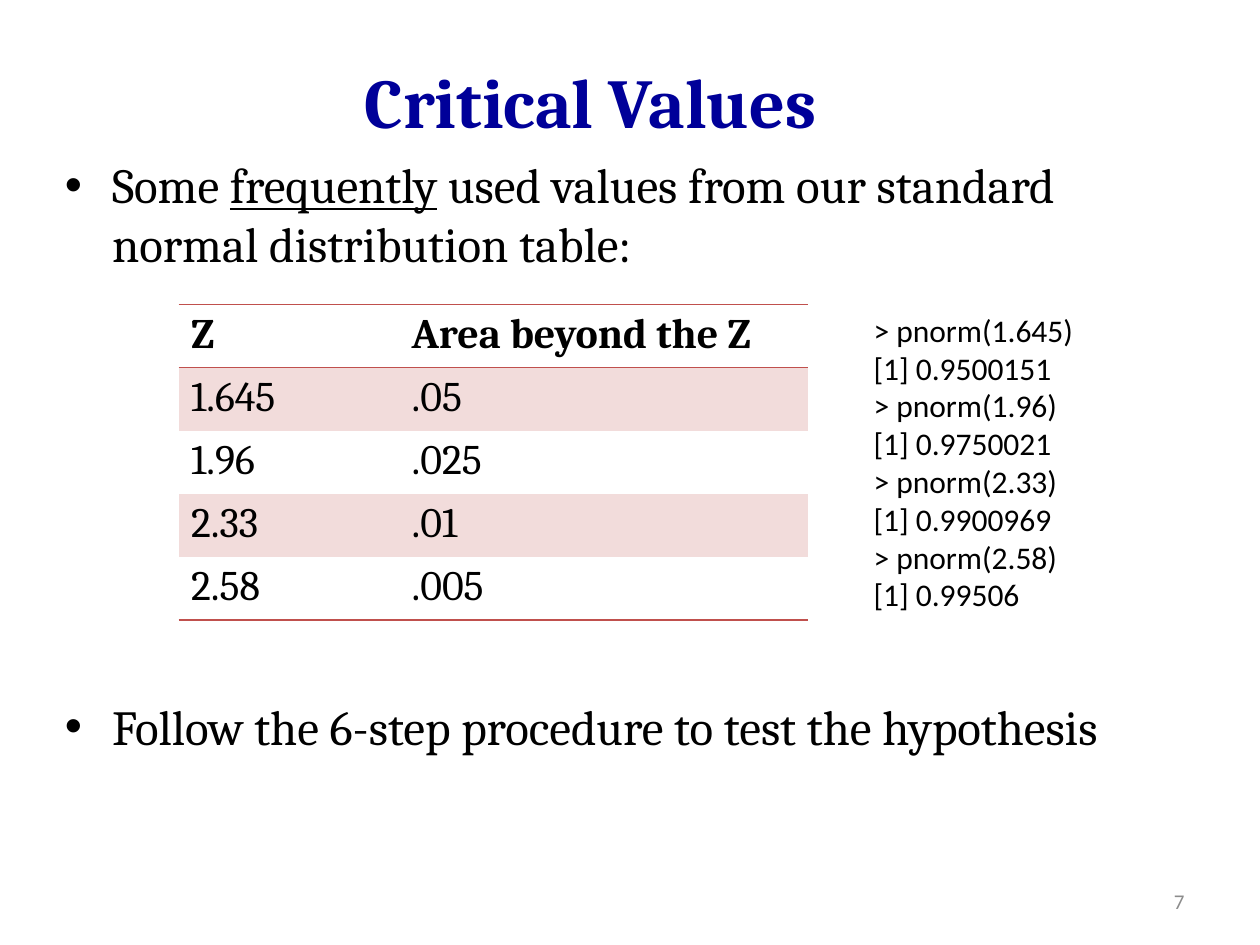
from dataclasses import dataclass

from lxml.etree import SubElement as Sub
from pptx import Presentation
from pptx.dml.color import RGBColor as Rgb
from pptx.enum.text import MSO_ANCHOR as Anchor, MSO_AUTO_SIZE as Auto, PP_ALIGN as Align
from pptx.oxml.ns import qn
from pptx.util import Cm, Pt

HUES = {"ink": "000000", "title": "000099", "rule": "C0504D",
        "band": "F2DCDB", "page": "8C8C8C"}
BODY = {"name": "Cambria", "size": Pt(28), "color": "ink"}
HEAD = {"name": "Cambria", "size": Pt(40), "color": "title", "bold": True}
CELL = {"name": "Cambria", "size": Pt(24), "color": "ink"}
CODE = {"name": "Calibri", "size": Pt(18), "color": "ink"}
PAGE = {"name": "Calibri", "size": Pt(12), "color": "page"}

ROWS = [("Z", "Area beyond the Z"), ("1.645", ".05"), ("1.96", ".025"),
        ("2.33", ".01"), ("2.58", ".005")]
TESTS = [("1.645", "0.9500151"), ("1.96", "0.9750021"),
         ("2.33", "0.9900969"), ("2.58", "0.99506")]


@dataclass
class Box:
    left: float
    top: float
    width: float
    height: float

    def area(self) -> tuple:
        return tuple(Cm(v) for v in (self.left, self.top, self.width, self.height))


@dataclass
class Point:
    """A bullet point: its runs, each with an underline flag, and the gap above."""
    runs: list
    gap: float = 0


POINTS = [
    Point([("Some ", False), ("frequently", True),
           (" used values from our standard normal distribution table:", False)]),
    Point([("Follow the 6-step procedure to test the hypothesis", False)], 242),
]


def style(font, form: dict) -> None:
    for key, val in form.items():
        if key == "color":
            font.color.rgb = Rgb.from_string(HUES[val])
        else:
            setattr(font, key, val)


def add_box(slide, box: Box):
    frame = slide.shapes.add_textbox(*box.area()).text_frame
    frame.word_wrap = True
    return frame


def add_lines(frame, lines: list, form: dict, align=Align.LEFT) -> None:
    for i, line in enumerate(lines):
        para = frame.add_paragraph() if i else frame.paragraphs[0]
        para.alignment = align
        run = para.add_run()
        run.text = line
        style(run.font, form)


def add_title(slide, box: Box) -> None:
    title = slide.shapes.title
    title.left, title.top, title.width, title.height = box.area()
    frame = title.text_frame
    frame.auto_size = Auto.NONE
    frame.vertical_anchor = Anchor.TOP
    add_lines(frame, ["Critical Values "], HEAD, Align.CENTER)


def add_points(slide, box: Box) -> None:
    frame = add_box(slide, box)
    for i, point in enumerate(POINTS):
        para = frame.add_paragraph() if i else frame.paragraphs[0]
        props = para._p.get_or_add_pPr()
        props.set("marL", str(Cm(0.95)))
        props.set("indent", str(-Cm(0.95)))
        Sub(props, qn("a:buFont"), typeface="Arial")
        Sub(props, qn("a:buChar"), char="•")
        if point.gap:
            para.space_before = Pt(point.gap)
        for text, under in point.runs:
            run = para.add_run()
            run.text = text
            style(run.font, {**BODY, "underline": under})


def rule(cell, side: str) -> None:
    """Draw a thin line along one side of a cell."""
    line = Sub(cell._tc.get_or_add_tcPr(), qn("a:" + side), w=str(Pt(1)))
    fill = Sub(line, qn("a:solidFill"))
    Sub(fill, qn("a:srgbClr"), val=HUES["rule"])


def add_grid(slide, box: Box) -> None:
    frame = slide.shapes.add_table(len(ROWS), 2, *box.area())
    grid = frame.table
    plain = "{2D5ABB26-0587-4C30-8999-92F81FD0307C}"
    grid._tbl.tblPr.find(qn("a:tableStyleId")).text = plain
    for col, share in zip(grid.columns, (0.35, 0.65)):
        col.width = Cm(box.width * share)
    for r, row in enumerate(ROWS):
        for c, text in enumerate(row):
            cell = grid.cell(r, c)
            if r == 0:
                rule(cell, "lnT")
            if r in (0, len(ROWS) - 1):
                rule(cell, "lnB")
            if r % 2:
                cell.fill.solid()
                cell.fill.fore_color.rgb = Rgb.from_string(HUES["band"])
            else:
                cell.fill.background()
            add_lines(cell.text_frame, [text], {**CELL, "bold": r == 0})


def main() -> None:
    deck = Presentation()
    deck.slide_width, deck.slide_height = Cm(25.4), Cm(19.05)
    slide = deck.slides.add_slide(deck.slide_layouts[5])
    add_points(slide, Box(1.06, 3, 23.07, 12.7))
    add_title(slide, Box(0.42, 1.06, 23.28, 1.96))
    add_grid(slide, Box(3.6, 6.14, 12.7, 6.35))
    page = add_box(slide, Box(18.2, 17.66, 5.93, 1.01))
    page.vertical_anchor = Anchor.MIDDLE
    add_lines(page, ["7"], PAGE, Align.RIGHT)
    code = [line for z, p in TESTS for line in (f"> pnorm({z})", f"[1] {p}")]
    add_lines(add_box(slide, Box(17.36, 6.14, 6.77, 6.41)), code, CODE)
    deck.save("out.pptx")


if __name__ == "__main__":
    main()
